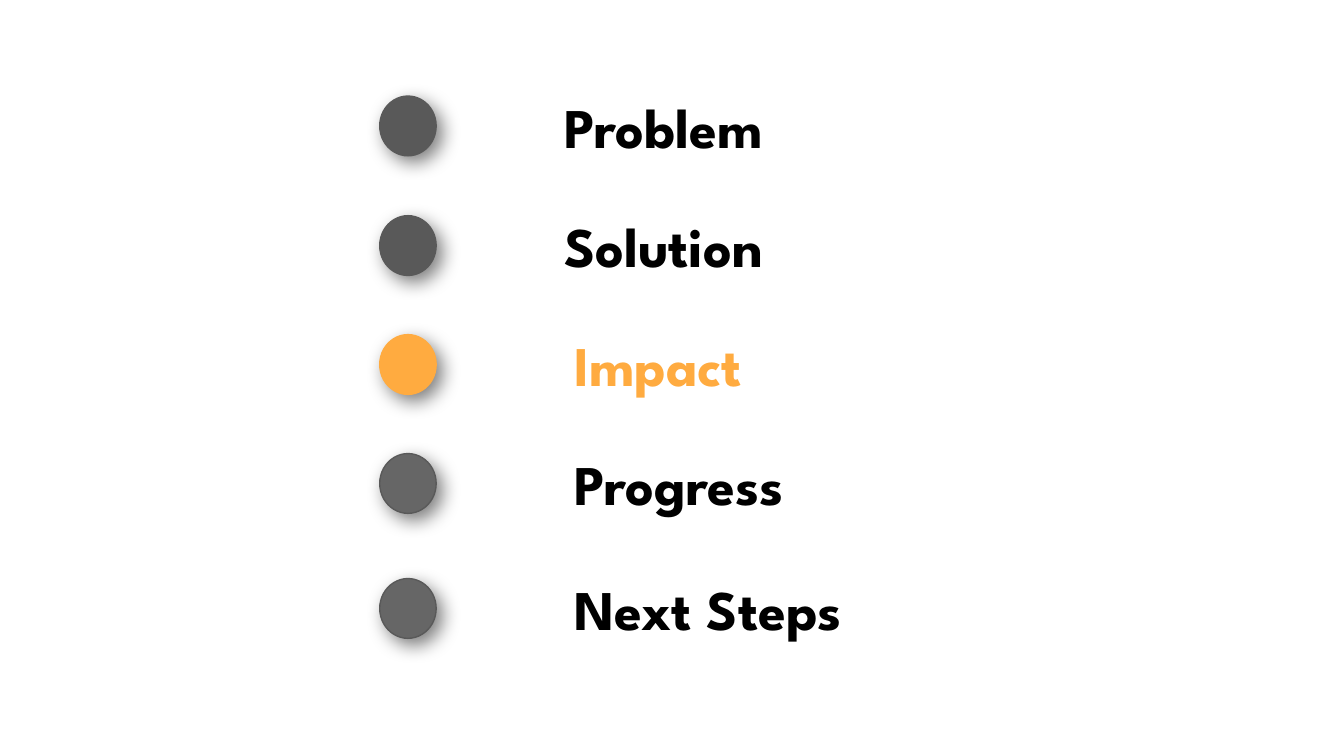
from pptx import Presentation
from pptx.dml.color import RGBColor
from pptx.enum.shapes import MSO_SHAPE
from pptx.enum.text import MSO_ANCHOR
from pptx.oxml import parse_xml
from pptx.oxml.ns import nsdecls
from pptx.util import Pt

PX = 4572  # 200 px to the inch
BLACK = RGBColor(0x00, 0x00, 0x00)
DARK_GRAY = RGBColor(0x59, 0x59, 0x59)
GRAY = RGBColor(0x66, 0x66, 0x66)
ORANGE = RGBColor(0xFF, 0xAB, 0x40)

DOT_LEFT, DOT_DROP, DOT_WIDTH, DOT_HEIGHT = 565, 25, 84, 89
LABEL_HEIGHT, LABEL_MARGIN = 138, 20

# label, label left, label width, row top, text colour, dot fill, dot outline
AGENDA = [
    ("Problem", 820, 602, 118, BLACK, DARK_GRAY, DARK_GRAY),
    ("Solution", 820, 742, 296, BLACK, DARK_GRAY, DARK_GRAY),
    ("Impact", 835, 488, 473, ORANGE, ORANGE, ORANGE),
    ("Progress", 835, 488, 650, BLACK, GRAY, DARK_GRAY),
    ("Next Steps", 835, 488, 836, BLACK, GRAY, DARK_GRAY),
]


def add_label(slide, text, *, left, top, width, color, size=30, font="League Spartan"):
    box = slide.shapes.add_textbox(left * PX, top * PX, width * PX, LABEL_HEIGHT * PX)
    frame = box.text_frame
    frame.word_wrap = True
    frame.vertical_anchor = MSO_ANCHOR.MIDDLE
    frame.margin_left = frame.margin_right = LABEL_MARGIN * PX
    frame.margin_top = frame.margin_bottom = LABEL_MARGIN * PX
    run = frame.paragraphs[0].add_run()
    run.text = text
    run.font.name = font
    run.font.size = Pt(size)
    run.font.bold = True
    run.font.color.rgb = color


def add_soft_shadow(shape):
    """Cast a half-transparent black shadow to the lower right."""
    shape.shadow.inherit = False
    effects = shape._element.spPr.find("{*}effectLst")
    effects.append(parse_xml(
        f'<a:outerShdw {nsdecls("a")} blurRad="{Pt(10.1)}" dist="{Pt(4.5)}" '
        f'dir="{50 * 60000}" algn="bl" rotWithShape="0">'
        '<a:srgbClr val="000000"><a:alpha val="50000"/></a:srgbClr></a:outerShdw>'
    ))


presentation = Presentation()
presentation.slide_width = 2000 * PX
presentation.slide_height = 1125 * PX
slide = presentation.slides.add_slide(presentation.slide_layouts[6])

for text, left, width, top, text_color, fill_color, line_color in AGENDA:
    dot = slide.shapes.add_shape(
        MSO_SHAPE.OVAL,
        DOT_LEFT * PX, (top + DOT_DROP) * PX, DOT_WIDTH * PX, DOT_HEIGHT * PX,
    )
    dot.fill.solid()
    dot.fill.fore_color.rgb = fill_color
    dot.line.color.rgb = line_color
    dot.line.width = Pt(0.75)
    add_soft_shadow(dot)
    add_label(slide, text, left=left, top=top, width=width, color=text_color)

presentation.save("out.pptx")
